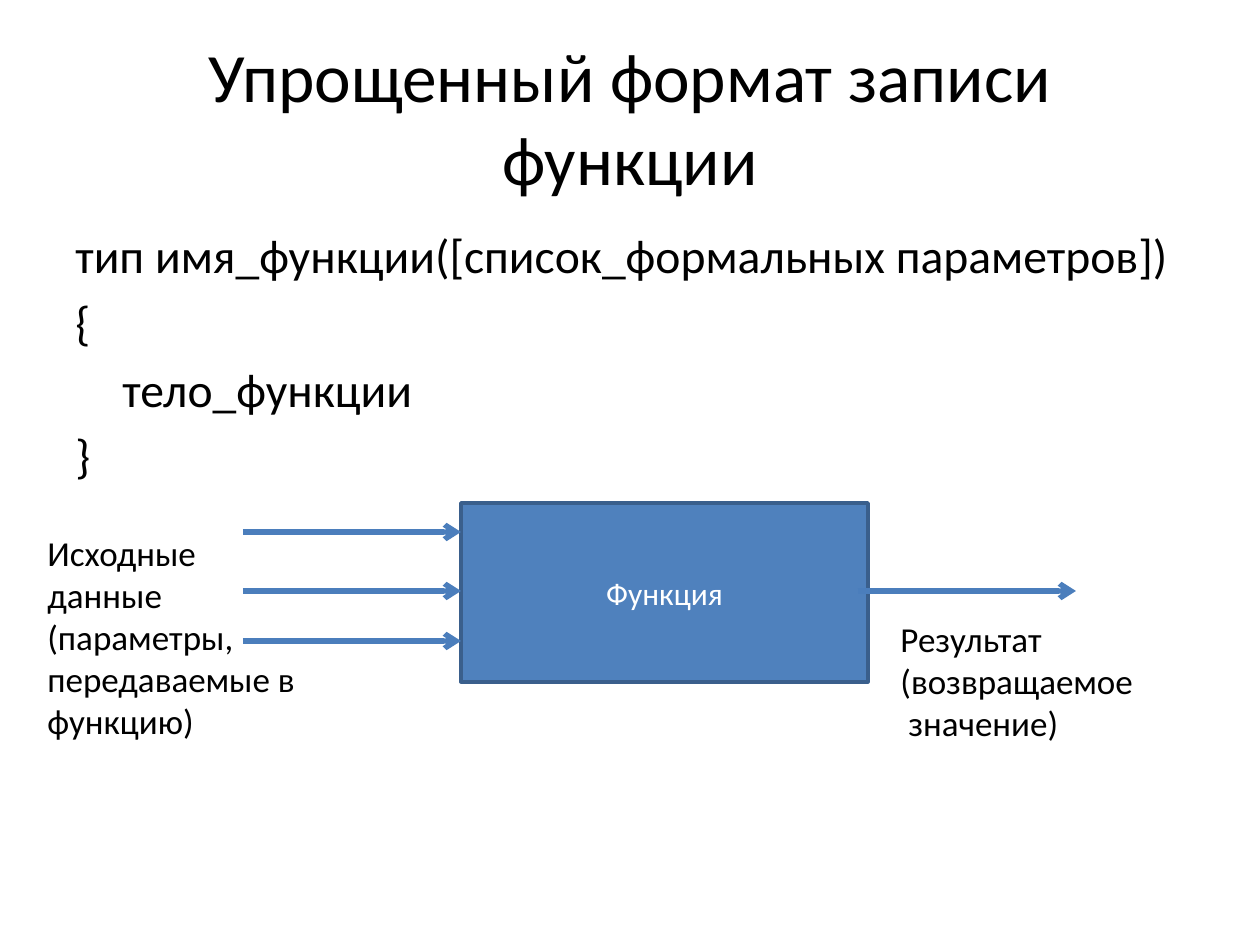
import pptx
import pptx.util
import pptx.dml.color
import pptx.enum.shapes
import pptx.enum.text
import lxml.etree

PIXEL = 914400 / 126
FONT = "Calibri"
BLACK = pptx.dml.color.RGBColor(0x00, 0x00, 0x00)
WHITE = pptx.dml.color.RGBColor(0xFF, 0xFF, 0xFF)
BLUE = pptx.dml.color.RGBColor(0x4F, 0x81, 0xBD)
EDGE_BLUE = pptx.dml.color.RGBColor(0x3A, 0x5F, 0x8C)
ARROW_BLUE = pptx.dml.color.RGBColor(0x4B, 0x7E, 0xBC)
DRAWING = "{http://schemas.openxmlformats.org/drawingml/2006/main}"
ALIGN = pptx.enum.text.PP_ALIGN
ANCHOR = pptx.enum.text.MSO_ANCHOR


def px(value):
    """Turn picture pixels into EMU."""
    return pptx.util.Emu(round(value * PIXEL))


def write(frame, lines, size, color=BLACK, align=ALIGN.LEFT, anchor=ANCHOR.TOP):
    """Fill a text frame with one paragraph a line; a newline breaks a line."""
    frame.word_wrap = True
    frame.vertical_anchor = anchor
    for index, line in enumerate(lines):
        para = frame.paragraphs[0] if index == 0 else frame.add_paragraph()
        para.alignment = align
        for part, text in enumerate(line.split("\n")):
            if part:
                para.add_line_break()
            span = para.add_run()
            span.text = text
            span.font.name = FONT
            span.font.size = pptx.util.Pt(size)
            span.font.color.rgb = color


def add_text(page, box, lines, size, **style):
    """Add a text box at box (left, top, width, height)."""
    shape = page.shapes.add_textbox(*map(px, box))
    write(shape.text_frame, lines, size, **style)
    return shape.text_frame


def add_syntax(page, box):
    """Add the function syntax, with its body line indented."""
    lines = ["тип имя_функции([список_формальных параметров])",
             "{", "тело_функции", "}"]
    frame = add_text(page, box, lines, 27.2)
    for para in frame.paragraphs:
        para.space_before = pptx.util.Pt(5.4)
    frame.paragraphs[2]._p.get_or_add_pPr().set("marL", str(px(47)))


def add_arrow(page, left, top, length):
    """Add a horizontal arrow pointing right."""
    arrow = page.shapes.add_connector(
        pptx.enum.shapes.MSO_CONNECTOR.STRAIGHT,
        px(left), px(top), px(left + length), px(top))
    arrow.line.color.rgb = ARROW_BLUE
    arrow.line.width = pptx.util.Pt(3)
    lxml.etree.SubElement(arrow.line._get_or_add_ln(), DRAWING + "tailEnd", type="arrow")
    lxml.etree.SubElement(arrow._element.spPr, DRAWING + "effectLst")


def add_diagram(page, box):
    """Add the function block with its inputs, result and captions."""
    left, top, width, height = box
    block = page.shapes.add_shape(
        pptx.enum.shapes.MSO_SHAPE.RECTANGLE, *map(px, box))
    block.shadow.inherit = False
    block.fill.solid()
    block.fill.fore_color.rgb = BLUE
    block.line.color.rgb = EDGE_BLUE
    block.line.width = pptx.util.Pt(2)
    write(block.text_frame, ["Функция"], 18, color=WHITE,
          align=ALIGN.CENTER, anchor=ANCHOR.MIDDLE)

    length = 218
    middle = top + 88
    for offset in (29, 88, 138):
        add_arrow(page, left - length, top + offset, length)
    add_arrow(page, left + width - 10, middle, length)

    add_text(page, (left - 426, top + 22, 277, 224),
             ["Исходные данные (параметры, передаваемые в функцию)"], 20)
    add_text(page, (left + width + 20, top + 108, 268, 140),
             ["Результат (возвращаемое\n значение)"], 20)


def build():
    """Build and save the slide."""
    deck = pptx.Presentation()
    deck.slide_width, deck.slide_height = px(1260), px(945)
    page = deck.slides.add_slide(deck.slide_layouts[6])
    page.background.fill.solid()
    page.background.fill.fore_color.rgb = WHITE
    add_text(page, (63, 38, 1134, 157), ["Упрощенный формат записи функции"],
             39.6, align=ALIGN.CENTER, anchor=ANCHOR.MIDDLE)
    add_syntax(page, (63, 220, 1134, 252))
    add_diagram(page, (461, 503, 407, 179))
    deck.save("out.pptx")


build()
